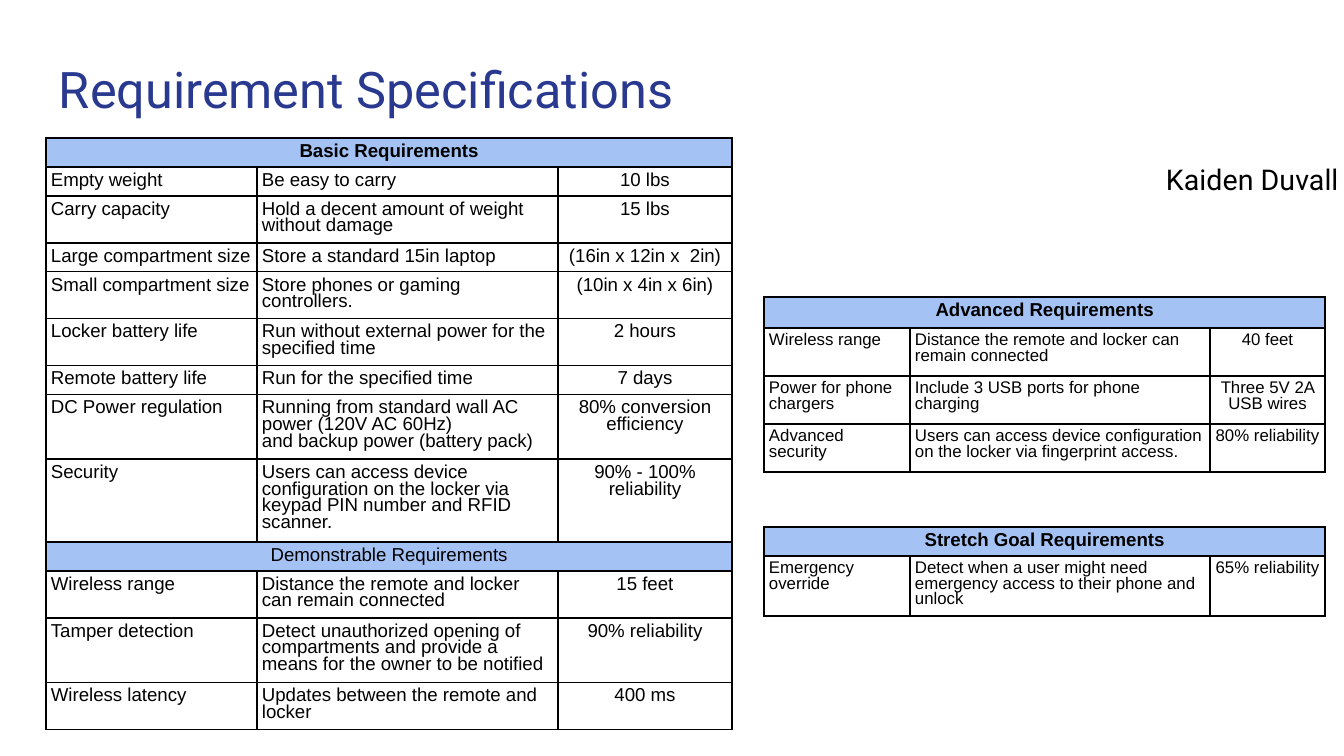
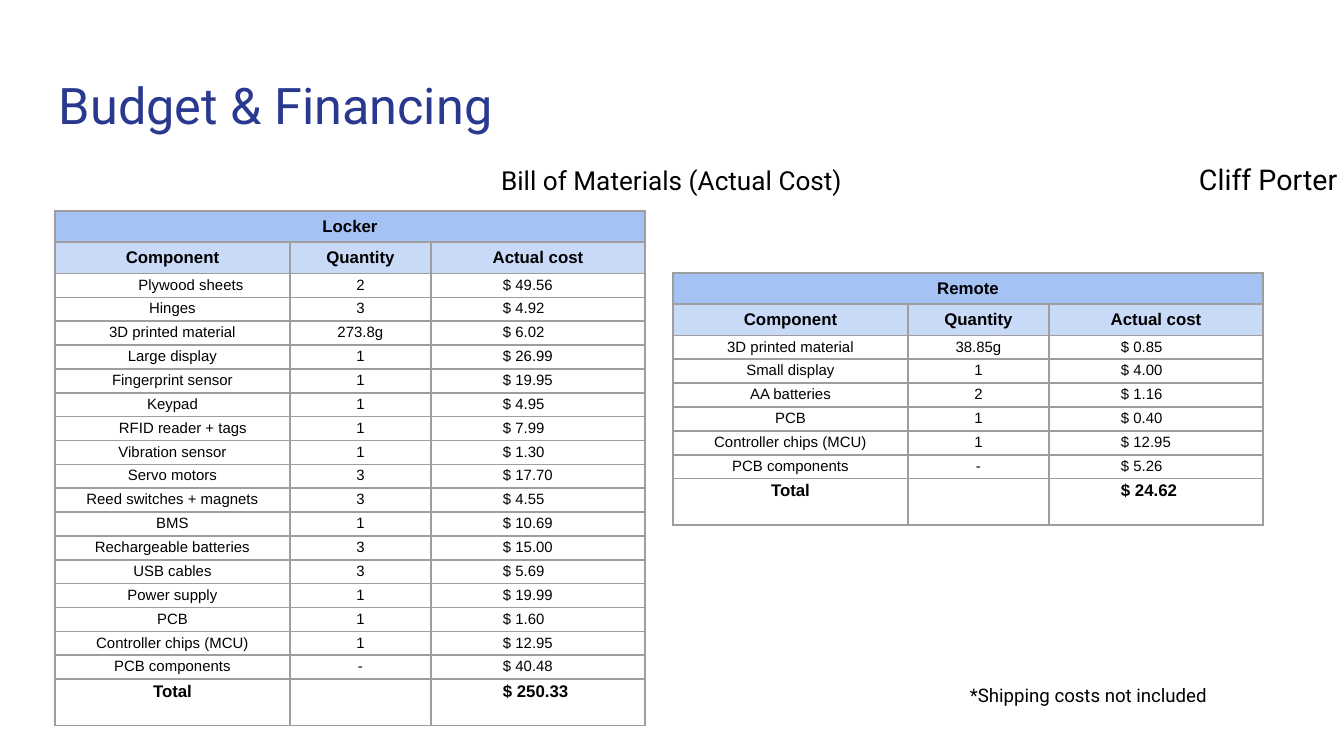
from dataclasses import dataclass

from lxml import etree
from pptx import Presentation
from pptx.dml.color import RGBColor
from pptx.enum.text import PP_ALIGN
from pptx.oxml.ns import qn
from pptx.util import Emu, Pt

EMU_PER_PX = 914400 / 134.4
LEFT, CENTER = PP_ALIGN.LEFT, PP_ALIGN.CENTER
BLANK_LAYOUT = 6

TITLE_FONT, TABLE_FONT = "Roboto", "Arial"
BLACK, WHITE, GREY = "000000", "FFFFFF", "9E9E9E"
NAVY, BLUE, PALE_BLUE = "2A3990", "A4C2F4", "C9DAF8"


def px(length):
    return Emu(round(length * EMU_PER_PX))


def rgb(color):
    return RGBColor.from_string(color)


@dataclass
class CellStyle:
    size: float
    bold: bool = False
    alignment: PP_ALIGN = LEFT
    fill: str = None
    border: str = BLACK
    line_spacing: float = None
    indent: int = 0
    insets: tuple = (5, 6, 5, 5)


class Deck:
    """Holds the presentation, its shared style and the current slide."""

    def __init__(self):
        self.presentation = Presentation()
        self.presentation.slide_width = px(1344)
        self.presentation.slide_height = px(756)
        self.slide = None

    def add_slide(self, title, title_top):
        layout = self.presentation.slide_layouts[BLANK_LAYOUT]
        self.slide = self.presentation.slides.add_slide(layout)
        self.text(title, 46, title_top, 1252, 89, 27, NAVY)

    def format_runs(self, paragraph, font, size, color, bold=False):
        for run in paragraph.runs:
            run.font.name = font
            run.font.size = Pt(size)
            run.font.bold = bold
            run.font.color.rgb = rgb(color)

    def text(self, text, left, top, width, height, size, color=BLACK):
        shape = self.slide.shapes.add_textbox(px(left), px(top), px(width), px(height))
        frame = shape.text_frame
        frame.word_wrap = True
        frame.margin_left = frame.margin_right = px(13)
        frame.margin_top = frame.margin_bottom = px(13)
        frame.text = text
        self.format_runs(frame.paragraphs[0], TITLE_FONT, size, color)

    def table(self, left, top, columns, heights, rows, style_for):
        """Draw rows; a row of one text spans the table.

        style_for(row, column, text) gives the CellStyle of each cell.
        """
        frame = self.slide.shapes.add_table(
            len(rows), len(columns), px(left), px(top), px(sum(columns)), px(sum(heights)))
        table = frame.table
        table.first_row = table.horz_banding = False
        for column, width in zip(table.columns, columns):
            column.width = px(width)
        for row, height in zip(table.rows, heights):
            row.height = px(height)
        for row, texts in enumerate(rows):
            if len(texts) == 1:
                table.cell(row, 0).merge(table.cell(row, len(columns) - 1))
                texts = texts + ("",) * (len(columns) - 1)
            for column, text in enumerate(texts):
                self.cell(table.cell(row, column), text, style_for(row, column, text))

    def cell(self, cell, text, style):
        self.borders(cell, style.border)
        if style.fill:
            cell.fill.solid()
            cell.fill.fore_color.rgb = rgb(style.fill)
        else:
            cell.fill.background()
        (cell.margin_left, cell.margin_top,
         cell.margin_right, cell.margin_bottom) = map(px, style.insets)
        if not text:
            return
        cell.text_frame.text = text
        for paragraph in cell.text_frame.paragraphs:
            paragraph.alignment = style.alignment
            if style.line_spacing:
                paragraph.line_spacing = style.line_spacing
            if style.indent:
                paragraph._p.get_or_add_pPr().set("marL", str(px(style.indent)))
            self.format_runs(paragraph, TABLE_FONT, style.size, BLACK, style.bold)

    def borders(self, cell, color):
        properties = cell._tc.get_or_add_tcPr()
        for side in ("lnL", "lnR", "lnT", "lnB"):
            line = etree.SubElement(properties, qn(f"a:{side}"), w=str(Pt(1)))
            fill = etree.SubElement(line, qn("a:solidFill"))
            etree.SubElement(fill, qn("a:srgbClr"), val=color)

    def requirements(self, left, top, columns, heights, rows, size, fill=None):
        def style_for(row, column, text):
            if len(rows[row]) == 1:
                return CellStyle(10, row == 0, CENTER, BLUE, line_spacing=0.8)
            alignment = CENTER if column == 2 else LEFT
            return CellStyle(size, False, alignment, fill, line_spacing=0.8)

        self.table(left, top, columns, heights, rows, style_for)

    def materials(self, name, left, top, items, total, left_insets):
        rows = [(name,), ("Component", "Quantity", "Actual cost"), *items, ("Total", "", total)]
        heights = [31, 31] + [23] * len(items) + [46]

        def style_for(row, column, text):
            if row < 2:
                return CellStyle(9, True, CENTER, (BLUE, PALE_BLUE)[row], GREY)
            is_total = row == len(rows) - 1
            style = CellStyle(9 if is_total else 8, is_total, CENTER, border=GREY,
                              insets=(left_insets.get(text, 5), 3, 5, 3))
            if column == 2:
                style.alignment, style.indent = LEFT, 67
            return style

        self.table(left, top, (235, 141, 214), heights, rows, style_for)


BASIC = [
    ("Basic Requirements",),
    ("Empty weight", "Be easy to carry", "10 lbs"),
    ("Carry capacity", "Hold a decent amount of weight without damage", "15 lbs"),
    ("Large compartment size", "Store a standard 15in laptop", "(16in x 12in x  2in)"),
    ("Small compartment size", "Store phones or gaming controllers.", "(10in x 4in x 6in)"),
    ("Locker battery life", "Run without external power for the specified time", "2 hours"),
    ("Remote battery life", "Run for the specified time", "7 days"),
    ("DC Power regulation",
     "Running from standard wall AC power (120V AC 60Hz)\nand backup power (battery pack)",
     "80% conversion efficiency"),
    ("Security",
     "Users can access device configuration on the locker via keypad PIN number "
     "and RFID scanner.", "90% - 100%\nreliability"),
    ("Demonstrable Requirements",),
    ("Wireless range", "Distance the remote and locker can remain connected", "15 feet"),
    ("Tamper detection",
     "Detect unauthorized opening of compartments and provide a means for the owner "
     "to be notified", "90% reliability"),
    ("Wireless latency", "Updates between the remote and locker", "400 ms"),
]
BASIC_LINES = (1, 1, 2, 1, 2, 2, 1, 3, 4, 1, 2, 3, 2)

ADVANCED = [
    ("Advanced Requirements",),
    ("Wireless range", "Distance the remote and locker can remain connected", "40 feet"),
    ("Power for phone chargers", "Include 3 USB ports for phone charging",
     "Three 5V 2A USB wires"),
    ("Advanced security",
     "Users can access device configuration on the locker via fingerprint access.",
     "80% reliability"),
]

STRETCH = [
    ("Stretch Goal Requirements",),
    ("Emergency override",
     "Detect when a user might need emergency access to their phone and unlock",
     "65% reliability"),
]

LOCKER = [
    ("Plywood sheets", "2", "$ 49.56"),
    ("Hinges", "3", "$ 4.92"),
    ("3D printed material", "273.8g", "$ 6.02"),
    ("Large display", "1", "$ 26.99"),
    ("Fingerprint sensor", "1", "$ 19.95"),
    ("Keypad", "1", "$ 4.95"),
    ("RFID reader + tags", "1", "$ 7.99"),
    ("Vibration sensor", "1", "$ 1.30"),
    ("Servo motors", "3", "$ 17.70"),
    ("Reed switches + magnets", "3", "$ 4.55"),
    ("BMS", "1", "$ 10.69"),
    ("Rechargeable batteries", "3", "$ 15.00"),
    ("USB cables", "3", "$ 5.69"),
    ("Power supply", "1", "$ 19.99"),
    ("PCB", "1", "$ 1.60"),
    ("Controller chips (MCU)", "1", "$ 12.95"),
    ("PCB components", "-", "$ 40.48"),
]

REMOTE = [
    ("3D printed material", "38.85g", "$ 0.85"),
    ("Small display", "1", "$ 4.00"),
    ("AA batteries", "2", "$ 1.16"),
    ("PCB", "1", "$ 0.40"),
    ("Controller chips (MCU)", "1", "$ 12.95"),
    ("PCB components", "-", "$ 5.26"),
]


def requirements_slide(deck):
    deck.add_slide("Requirement Specifications", 45)
    deck.text("Kaiden Duvall", 1153, 149, 343, 97, 15.3)
    basic_heights = [10 + 18 * lines for lines in BASIC_LINES]
    deck.requirements(46, 138, (211, 301, 174), basic_heights, BASIC, 10)
    side_columns = (146, 300, 115)
    deck.requirements(764, 297, side_columns, (31, 48, 48, 48), ADVANCED, 9, WHITE)
    deck.requirements(764, 527, side_columns, (28, 60), STRETCH, 9, WHITE)


def budget_slide(deck):
    deck.add_slide("Budget & Financing", 61)
    deck.text("Bill of Materials (Actual Cost)", 488, 151, 368, 59, 14)
    deck.materials("Locker", 55, 211, LOCKER, "$ 250.33",
                   {"Plywood sheets": 42, "RFID reader + tags": 26})
    deck.text("Cliff Porter", 1186, 149, 343, 62, 15.3)
    deck.materials("Remote", 673, 273, REMOTE, "$ 24.62", {})
    deck.text("*Shipping costs not included", 957, 673, 387, 50, 10)


def main():
    deck = Deck()
    requirements_slide(deck)
    budget_slide(deck)
    deck.presentation.save("out.pptx")


if __name__ == "__main__":
    main()
